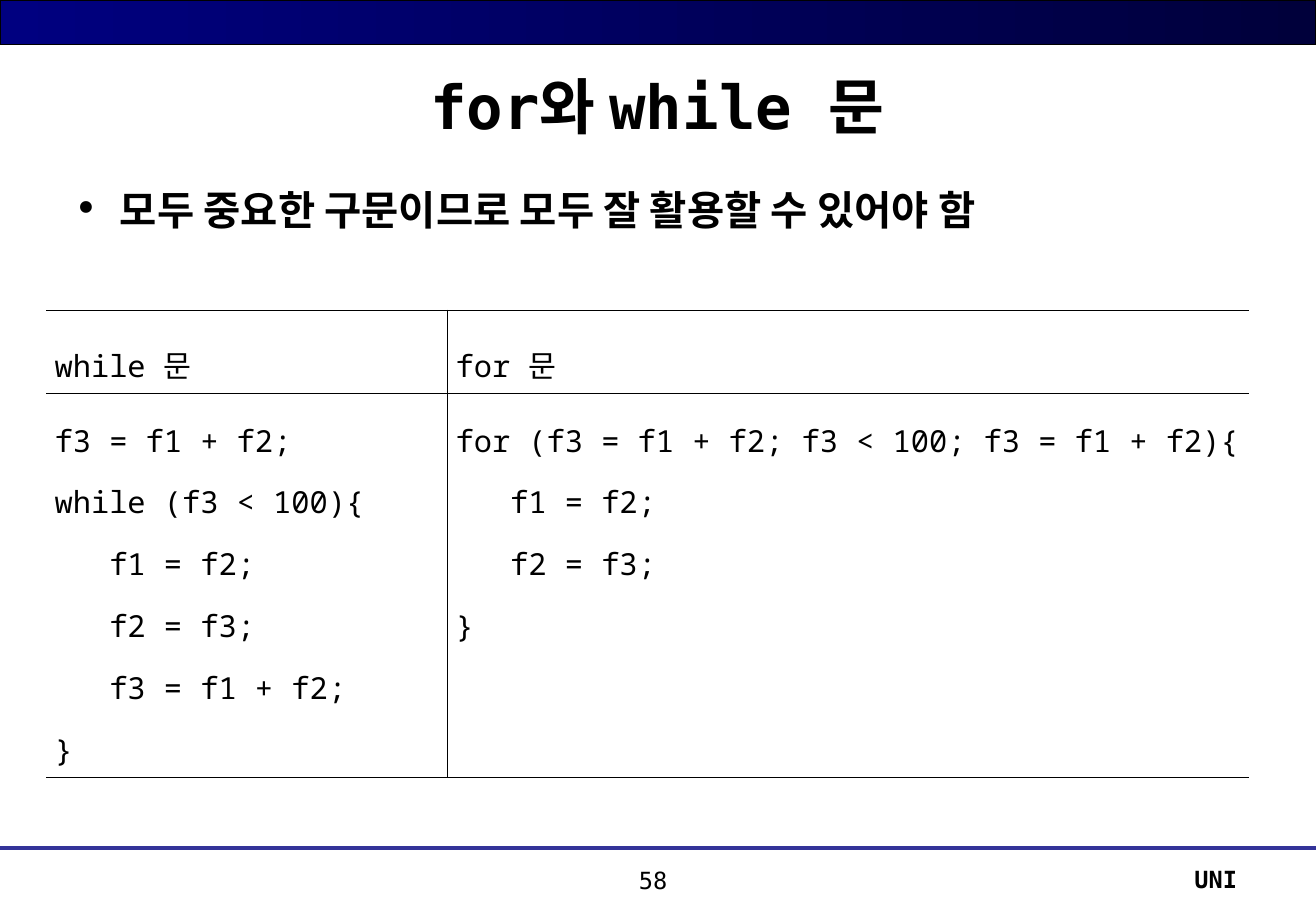
from dataclasses import dataclass

from lxml.etree import SubElement
from pptx import Presentation
from pptx.dml.color import RGBColor as Color
from pptx.enum.shapes import MSO_CONNECTOR as Connector, MSO_SHAPE as Shape
from pptx.enum.text import MSO_ANCHOR as Anchor, PP_ALIGN as Align
from pptx.oxml.ns import qn
from pptx.util import Inches, Pt

WIDTH, HEIGHT = Inches(10.84), Inches(7.5)


@dataclass(frozen=True)
class Theme:
    heading_font: str = "DejaVu Sans Mono"
    code_font: str = "Noto Sans Mono"
    ink: str = "000000"
    bar_start: str = "000080"
    bar_end: str = "00003B"
    rule: str = "333399"
    title_size: int = 36
    bullet_size: int = 24
    code_size: int = 18
    footer_size: int = 14
    header_spacing: float = 1.6
    code_spacing: float = 1.5
    border: float = 0.11
    code_indent: float = 0.45


THEME = Theme()

HEADERS = ["while 문", "for 문"]
# Each line of code is (indent level, text).
WHILE_CODE = [(0, "f3 = f1 + f2;"), (0, "while (f3 < 100){"), (1, "f1 = f2;"),
              (1, "f2 = f3;"), (1, "f3 = f1 + f2;"), (0, "}")]
FOR_CODE = [(0, "for (f3 = f1 + f2; f3 < 100; f3 = f1 + f2){"),
            (1, "f1 = f2;"), (1, "f2 = f3;"), (0, "}")]

# Percentages of the slide.
TABLE_PLACE = (3.51, 34, 91.42, 51.33)
COLUMN_WIDTHS = (30.47, 60.95)
ROW_HEIGHTS = (9.13, 42.2)


def grid(left, top, width, height):
    """Turn percentages of the slide into lengths."""
    return (int(WIDTH * left / 100), int(HEIGHT * top / 100),
            int(WIDTH * width / 100), int(HEIGHT * height / 100))


def write(para, text, size, font, bold=False, align=Align.LEFT):
    para.text = text
    para.alignment = align
    for span in para.runs:
        span.font.size = Pt(size)
        span.font.name = font
        span.font.bold = bold
        span.font.color.rgb = Color.from_string(THEME.ink)
        span._r.get_or_add_rPr().set("kern", "0")


def set_indent(para, margin, first_line=0):
    properties = para._p.get_or_add_pPr()
    properties.set("marL", str(Inches(margin)))
    properties.set("indent", str(Inches(first_line)))


def add_bar(page):
    bar = page.shapes.add_shape(Shape.RECTANGLE, *grid(0, 0, 100, 4.87))
    bar.shadow.inherit = False
    bar.fill.gradient()
    bar.fill.gradient_angle = 0
    for stop, color, position in zip(bar.fill.gradient_stops,
                                     (THEME.bar_start, THEME.bar_end), (0, 1)):
        stop.color.rgb = Color.from_string(color)
        stop.position = position
    bar.line.color.rgb = Color.from_string(THEME.ink)
    bar.line.width = Pt(0.75)


def add_rule(page, row):
    left, top, width, _ = grid(0, row, 100, 0)
    rule = page.shapes.add_connector(Connector.STRAIGHT, left, top, width, top)
    rule.line.color.rgb = Color.from_string(THEME.rule)
    rule.line.width = Pt(2.5)
    SubElement(rule._element.spPr, qn("a:effectLst"))


def add_text(page, place, text, size, bold=True, align=Align.LEFT, anchor=Anchor.TOP):
    frame = page.shapes.add_textbox(*grid(*place)).text_frame
    frame.word_wrap = True
    frame.vertical_anchor = anchor
    para = frame.paragraphs[0]
    write(para, text, size, THEME.heading_font, bold, align)
    return para


def add_bullet(para):
    para.space_before = Pt(6)
    set_indent(para, 0.38, -0.38)
    properties = para._p.get_or_add_pPr()
    SubElement(properties, qn("a:buFont"), typeface=THEME.heading_font)
    SubElement(properties, qn("a:buChar"), char="•")


def set_borders(cell, shown):
    """Draw the listed sides (L, R, T, B) and clear the others."""
    properties = cell._tc.get_or_add_tcPr()
    for side in "LRTB":
        line = SubElement(properties, qn(f"a:ln{side}"), w=str(Pt(THEME.border)))
        if side in shown:
            fill = SubElement(line, qn("a:solidFill"))
            SubElement(fill, qn("a:srgbClr"), val=THEME.ink)
        else:
            SubElement(line, qn("a:noFill"))


def fill_cell(cell, lines, spacing, anchor, borders):
    set_borders(cell, borders)
    cell.fill.background()
    cell.margin_left = cell.margin_right = Inches(0.07)
    cell.margin_top = cell.margin_bottom = Inches(0.05)
    cell.vertical_anchor = anchor
    frame = cell.text_frame
    frame.text = "\n".join(text for _, text in lines)
    for para, (level, text) in zip(frame.paragraphs, lines):
        write(para, text, THEME.code_size, THEME.code_font, align=Align.JUSTIFY)
        para.line_spacing = spacing
        set_indent(para, level * THEME.code_indent)


def add_code_table(page):
    table = page.shapes.add_table(2, 2, *grid(*TABLE_PLACE)).table
    table.first_row = table.horz_banding = False
    for column, share in zip(table.columns, COLUMN_WIDTHS):
        column.width = int(WIDTH * share / 100)
    for row, share in zip(table.rows, ROW_HEIGHTS):
        row.height = int(HEIGHT * share / 100)
    for index, (header, code) in enumerate(zip(HEADERS, (WHILE_CODE, FOR_CODE))):
        borders = "TB" + "RL"[index]
        fill_cell(table.cell(0, index), [(0, header)], THEME.header_spacing,
                  Anchor.MIDDLE, borders)
        fill_cell(table.cell(1, index), code, THEME.code_spacing, Anchor.TOP, borders)


def main():
    deck = Presentation()
    deck.slide_width, deck.slide_height = WIDTH, HEIGHT
    page = deck.slides.add_slide(deck.slide_layouts[6])
    add_bar(page)
    add_rule(page, 93.07)
    add_text(page, (4.98, 4.8, 89.94, 13.47), "for와 while 문", THEME.title_size,
             align=Align.CENTER, anchor=Anchor.MIDDLE)
    add_bullet(add_text(page, (4.7, 19.6, 90.22, 72.4),
                        "모두 중요한 구문이므로 모두 잘 활용할 수 있어야 함", THEME.bullet_size))
    add_text(page, (71.03, 94.27, 23.89, 4.93), "UNI", THEME.footer_size,
             align=Align.RIGHT)
    add_text(page, (42.9, 94.4, 13.47, 4.93), "58", THEME.footer_size, bold=False,
             align=Align.CENTER)
    add_code_table(page)
    deck.save("out.pptx")


if __name__ == "__main__":
    main()
